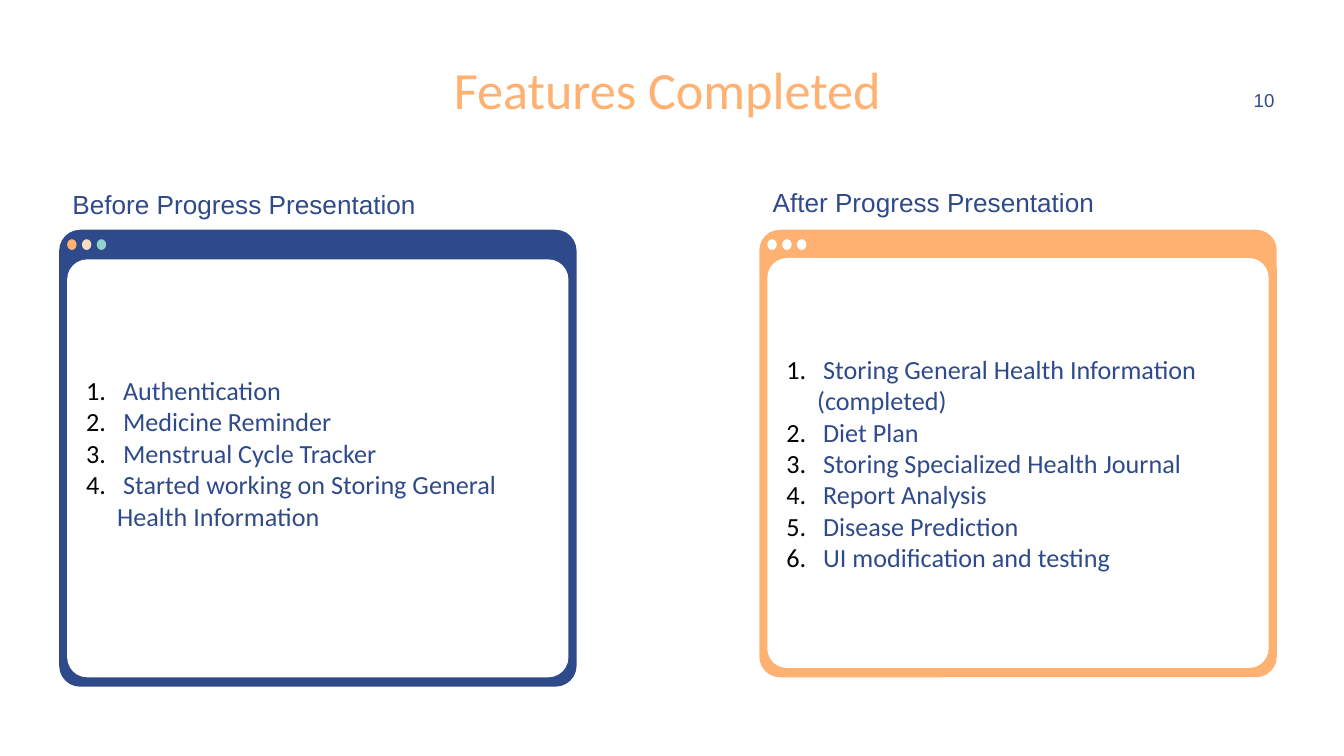
from dataclasses import dataclass

from lxml.etree import SubElement
from pptx import Presentation
from pptx.dml.color import RGBColor
from pptx.enum.shapes import MSO_SHAPE
from pptx.enum.text import MSO_ANCHOR, PP_ALIGN
from pptx.oxml.ns import qn
from pptx.util import Inches, Pt

NAVY = RGBColor(0x2F, 0x4A, 0x8A)
ORANGE = RGBColor(0xFF, 0xB1, 0x72)
PEACH = RGBColor(0xF8, 0xDB, 0xC4)
TEAL = RGBColor(0x90, 0xD1, 0xCB)
WHITE = RGBColor(0xFF, 0xFF, 0xFF)

WINDOW_TOP, WINDOW_WIDTH = 1.71, 3.85
BORDER = 0.06
PANE_WIDTH = 3.73
DOT_TOP, DOT_WIDTH, DOT_HEIGHT, DOT_STEP = 1.78, 0.07, 0.08, 0.11
LIST_INDENT = 0.23


@dataclass(frozen=True)
class Window:
    label: str
    label_top: float
    left: float
    height: float
    pane_top: float
    pane_height: float
    bottom_inset: float
    color: RGBColor
    dots: tuple[RGBColor, ...]
    features: tuple[str, ...]


WINDOWS = (
    Window("After Progress Presentation", 1.33, 5.65, 3.33, 1.92, 3.05, 0.1,
           ORANGE, (WHITE, WHITE, WHITE),
           ("Storing General Health Information (completed)", "Diet Plan",
            "Storing Specialized Health Journal", "Report Analysis",
            "Disease Prediction", "UI modification and testing")),
    Window("Before Progress Presentation", 1.35, 0.44, 3.4, 1.93, 3.11, 0.33,
           NAVY, (ORANGE, PEACH, TEAL),
           ("Authentication", "Medicine Reminder", "Menstrual Cycle Tracker",
            "Started working on Storing General Health Information")),
)


def add_filled(page, kind: MSO_SHAPE, left: float, top: float, width: float,
               height: float, color: RGBColor):
    shape = page.shapes.add_shape(kind, Inches(left), Inches(top),
                                  Inches(width), Inches(height))
    shape.shadow.inherit = False
    shape.fill.solid()
    shape.fill.fore_color.rgb = color
    shape.line.fill.background()
    return shape


def style(paragraph, name: str, size: int, color: RGBColor) -> None:
    paragraph.font.name = name
    paragraph.font.size = Pt(size)
    paragraph.font.color.rgb = color


def add_text(page, text: str, left: float, top: float, width: float,
             height: float, name: str, size: int, color: RGBColor,
             align: PP_ALIGN = PP_ALIGN.LEFT, wrap: bool = True,
             anchor: MSO_ANCHOR = MSO_ANCHOR.MIDDLE) -> None:
    box = page.shapes.add_textbox(Inches(left), Inches(top),
                                  Inches(width), Inches(height))
    frame = box.text_frame
    frame.word_wrap = wrap
    frame.vertical_anchor = anchor
    paragraph = frame.paragraphs[0]
    paragraph.text = text
    paragraph.alignment = align
    style(paragraph, name, size, color)


def number(paragraph) -> None:
    """Give the paragraph a black automatic number and a hanging indent."""
    properties = paragraph._p.get_or_add_pPr()
    properties.set("marL", str(Inches(LIST_INDENT)))
    properties.set("indent", str(-Inches(LIST_INDENT)))
    bullet_color = SubElement(properties, qn("a:buClr"))
    SubElement(bullet_color, qn("a:srgbClr"), val="000000")
    SubElement(properties, qn("a:buFont"), typeface="Calibri")
    SubElement(properties, qn("a:buAutoNum"), type="arabicPeriod")


def fill_list(pane, window: Window) -> None:
    frame = pane.text_frame
    frame.word_wrap = True
    frame.vertical_anchor = MSO_ANCHOR.MIDDLE
    frame.margin_left = frame.margin_right = frame.margin_top = Inches(0.1)
    frame.margin_bottom = Inches(window.bottom_inset)
    for index, feature in enumerate(window.features):
        paragraph = frame.add_paragraph() if index else frame.paragraphs[0]
        paragraph.text = f" {feature}"
        paragraph.alignment = PP_ALIGN.LEFT
        number(paragraph)
        style(paragraph, "Calibri", 14, NAVY)


def add_window(page, window: Window) -> None:
    # Frame and white pane
    frame = add_filled(page, MSO_SHAPE.ROUNDED_RECTANGLE, window.left, WINDOW_TOP,
                       WINDOW_WIDTH, window.height, window.color)
    frame.adjustments[0] = 0.046
    inner_left = window.left + BORDER
    pane = add_filled(page, MSO_SHAPE.ROUNDED_RECTANGLE, inner_left,
                      window.pane_top, PANE_WIDTH, window.pane_height, WHITE)
    pane.adjustments[0] = 0.048
    fill_list(pane, window)

    # Title bar dots
    for index, color in enumerate(window.dots):
        add_filled(page, MSO_SHAPE.OVAL, inner_left + index * DOT_STEP, DOT_TOP,
                   DOT_WIDTH, DOT_HEIGHT, color)


def main() -> None:
    # Widescreen page, 16 to 9
    deck = Presentation()
    deck.slide_width = Inches(10)
    deck.slide_height = deck.slide_width * 9 // 16
    page = deck.slides.add_slide(deck.slide_layouts[6])

    for window in WINDOWS:
        add_window(page, window)

    # Page number and title
    add_text(page, "10", 9.23, 0.61, 0.36, 0.27, "Arial", 10, NAVY, wrap=False)
    add_text(page, "Features Completed", 1.96, 0.38, 6.01, 0.71,
             "Calibri", 28, ORANGE, PP_ALIGN.CENTER, anchor=MSO_ANCHOR.TOP)

    # Headings above the windows, left one first
    for window in reversed(WINDOWS):
        add_text(page, window.label, window.left, window.label_top, 3.79, 0.34,
                 "Arial", 14, NAVY)
    deck.save("out.pptx")


if __name__ == "__main__":
    main()
